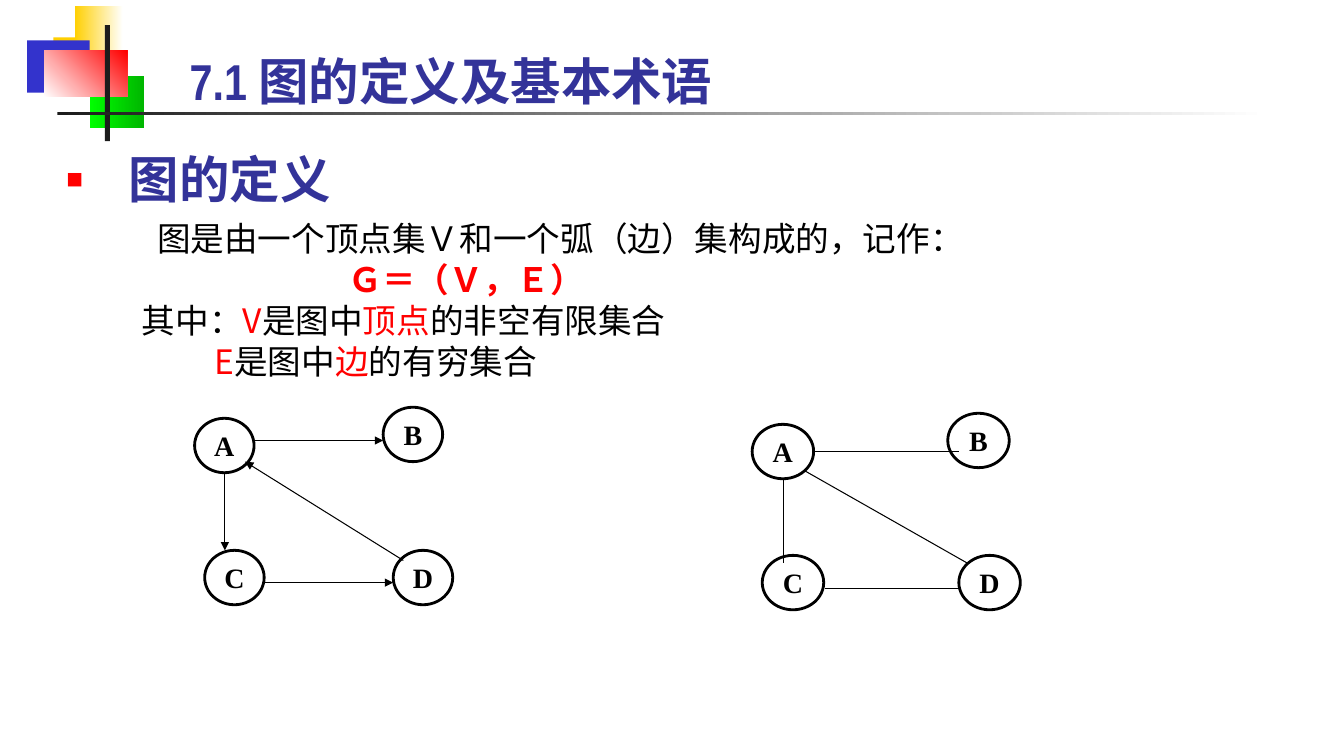
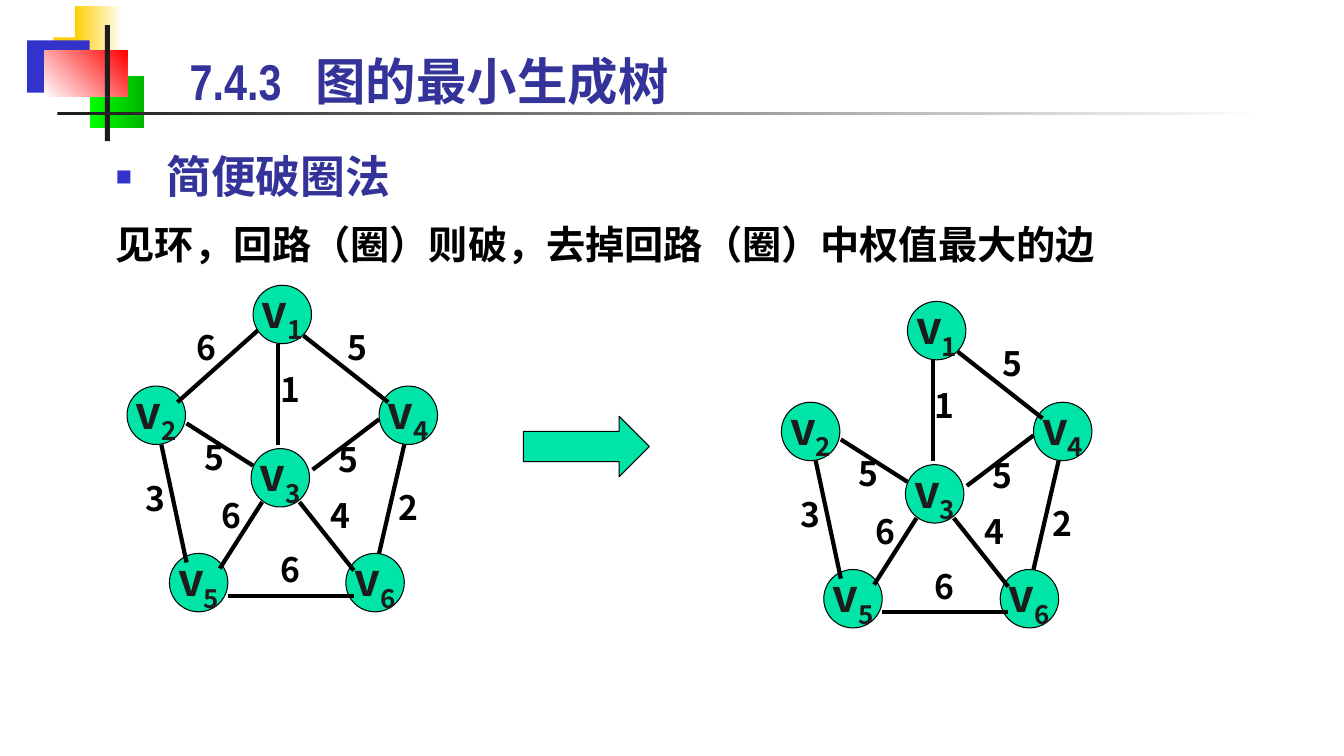
from lxml import etree
from pptx import Presentation
from pptx.dml.color import RGBColor
from pptx.enum.shapes import MSO_CONNECTOR, MSO_SHAPE
from pptx.enum.text import MSO_ANCHOR, MSO_AUTO_SIZE, PP_ALIGN
from pptx.oxml.ns import qn
from pptx.util import Emu, Pt

PX = 9144
RECT, OVAL, ARROW = MSO_SHAPE.RECTANGLE, MSO_SHAPE.OVAL, MSO_SHAPE.RIGHT_ARROW
STRAIGHT = MSO_CONNECTOR.STRAIGHT
LEFT, CENTER = PP_ALIGN.LEFT, PP_ALIGN.CENTER
MIDDLE, BOTTOM = MSO_ANCHOR.MIDDLE, MSO_ANCHOR.BOTTOM
TITLE_ONLY = 5
NARROW, SANS, SERIF = "Arial Narrow", "Noto Sans CJK SC", "Times New Roman"
COLORS = {
    "black": "000000", "ink": "1C1C1C", "white": "FFFFFF", "red": "FF0000",
    "navy": "333399", "blue": "3333CC", "yellow": "FFCF01",
    "lime": "00FF00", "green": "00B600", "mint": "00E4A8",
}
HEADING = {"size": Pt(36), "name": NARROW, "bold": True}
SUBHEADING = {"size": Pt(32), "name": SANS, "bold": True}
RULE = {"size": Pt(28), "name": SANS, "bold": True}
BODY = {"size": Pt(24), "name": SANS, "bold": False}
STRONG = {**BODY, "bold": True}
LETTER = {"size": Pt(20), "name": SERIF, "bold": True}

BANDS = [
    ((53, 37, 64, 52), ("yellow",), 0),
    ((74, 6, 48, 52), ("yellow", "white"), 0),
    ((27, 40, 62, 52), ("blue",), 0),
    ((89, 75, 54, 52), ("lime", "green"), 0),
    ((44, 50, 82, 46), ("white", "red"), 45),
    ((104, 25, 5, 115), ("ink",), 0),
    ((57, 111, 1200, 3), ("ink", "white"), 0),
]

DIRECTED = {
    "size": (59, 54),
    "nodes": {"A": (193, 415), "B": (380, 404), "C": (203, 546), "D": (390, 546)},
    "edges": [(252, 437, 380, 437), (223, 469, 223, 546),
              (262, 578, 390, 578), (400, 556, 243, 458)],
}
UNDIRECTED = {
    "size": (61, 54),
    "nodes": {"A": (746, 421), "B": (940, 410), "C": (756, 551), "D": (951, 551)},
    "edges": [(807, 448, 951, 448), (798, 467, 960, 559),
              (777, 475, 777, 559), (818, 584, 951, 584)],
}

VERTICES = {"3": (249, 445), "2": (126, 383), "4": (376, 383),
            "5": (168, 549), "6": (343, 549)}
TOP_VERTEX = (251, 283)
BROKEN_EDGE = ((260, 324, 176, 399), "6", (185, 324))
TREE_EDGES = [
    ((276, 341, 276, 441), "1", (268, 366)),
    ((301, 333, 385, 399), "5", (335, 324)),
    ((185, 420, 251, 462), "5", (193, 433)),
    ((376, 416, 310, 466), "5", (326, 435)),
    ((160, 441, 185, 558), "3", (135, 474)),
    ((260, 498, 218, 564), "6", (210, 491)),
    ((297, 498, 351, 566), "4", (318, 491)),
    ((401, 441, 376, 549), "2", (385, 483)),
    ((226, 591, 351, 591), "6", (268, 545)),
]


def px(*lengths):
    return [Emu(length * PX) for length in lengths]


def rgb(name):
    return RGBColor.from_string(COLORS[name])


def assign(target, values):
    for name, value in values.items():
        setattr(target, name, value)


def add_xml(parent, tag, **values):
    return etree.SubElement(parent, qn(tag), values)


def add_span(para, text, style, color="black", baseline=None):
    span = para.add_run()
    span.text = text
    assign(span.font, style)
    span.font.color.rgb = rgb(color)
    properties = span._r.get_or_add_rPr()
    add_xml(properties, "a:ea", typeface=SANS)
    if baseline:
        properties.set("baseline", baseline)


def format_para(para, margin, indent, spacing, before=0):
    assign(para, {"line_spacing": Pt(spacing), "space_before": Pt(before)})
    properties = para._p.get_or_add_pPr()
    properties.set("marL", str(margin * PX))
    properties.set("indent", str(indent * PX))


def add_bullet(para, color, percent):
    properties = para._p.get_or_add_pPr()
    add_xml(add_xml(properties, "a:buClr"), "a:srgbClr", val=COLORS[color])
    add_xml(properties, "a:buSzPct", val=str(percent * 1000))
    add_xml(properties, "a:buFont", typeface="Arial")
    add_xml(properties, "a:buChar", char="■")


def add_textbox(shapes, frame):
    box = shapes.add_textbox(*px(*frame))
    box.text_frame.word_wrap = True
    return box.text_frame


def add_figure(shapes, kind, frame, fills=(), line=None, angle=0):
    shape = shapes.add_shape(kind, *px(*frame))
    shape.shadow.inherit = False
    if len(fills) == 2:
        shape.fill.gradient()
        shape.fill.gradient_angle = angle
        for stop, color in zip(shape.fill.gradient_stops, fills):
            stop.color.rgb = rgb(color)
    elif fills:
        shape.fill.solid()
        shape.fill.fore_color.rgb = rgb(fills[0])
    else:
        shape.fill.background()
    if line:
        shape.line.color.rgb = rgb("black")
        shape.line.width = Pt(line)
    else:
        shape.line.fill.background()
    return shape


def add_node(shapes, frame, spans, line, fills=()):
    frame_text = add_figure(shapes, OVAL, frame, fills, line).text_frame
    assign(frame_text, {"word_wrap": False, "vertical_anchor": MIDDLE})
    para = frame_text.paragraphs[0]
    para.alignment = CENTER
    for span in spans:
        add_span(para, *span)


def add_edge(shapes, ends, width, arrow=False):
    edge = shapes.add_connector(STRAIGHT, *px(*ends))
    edge.line.color.rgb = rgb("black")
    edge.line.width = Pt(width)
    if arrow:
        add_xml(edge.line._get_or_add_ln(), "a:tailEnd", type="triangle")
    add_xml(edge._element.spPr, "a:effectLst")


def add_bands(slide):
    tree = slide.slide_layout.shapes.element
    for index, (frame, fills, angle) in enumerate(BANDS, 2):
        band = add_figure(slide.shapes, RECT, frame, fills, angle=angle)
        tree.insert(index, band.element)


def add_slide(deck, title, tab=None):
    slide = deck.slides.add_slide(deck.slide_layouts[TITLE_ONLY])
    holder = slide.shapes.title
    assign(holder, dict(zip(("left", "top", "width", "height"), px(178, 25, 1136, 85))))
    assign(holder.text_frame, {"vertical_anchor": BOTTOM, "margin_bottom": 0,
                               "auto_size": MSO_AUTO_SIZE.NONE})
    para = holder.text_frame.paragraphs[0]
    para.alignment = LEFT
    if tab:
        stops = add_xml(para._p.get_or_add_pPr(), "a:tabLst")
        add_xml(stops, "a:tab", pos=str(tab * PX), algn="l")
    add_span(para, title, HEADING, "navy")
    return slide


def add_lettered_graph(slide, graph, arrow):
    shapes = slide.shapes.add_group_shape().shapes
    for letter, place in graph["nodes"].items():
        add_node(shapes, place + graph["size"], [(letter, LETTER)], 2)
    for ends in graph["edges"]:
        add_edge(shapes, ends, 0.75, arrow)


def add_vertex(shapes, number, x, y):
    spans = [("v", SUBHEADING, "ink"), (number, SUBHEADING, "ink", "-25000")]
    add_node(shapes, (x, y, 58, 58), spans, 0.75, ("mint",))


def add_weighted_graph(slide, edges, dx, dy):
    shapes = slide.shapes.add_group_shape().shapes
    for number, (x, y) in VERTICES.items():
        add_vertex(shapes, number, x + dx, y + dy)
    for (x1, y1, x2, y2), _, _ in edges:
        add_edge(shapes, (x1 + dx, y1 + dy, x2 + dx, y2 + dy), 3)
    for _, weight, (x, y) in edges:
        label = add_textbox(shapes, (x + dx, y + dy, 50, 50))
        label.margin_top = 0
        add_span(label.paragraphs[0], weight, STRONG)
    add_vertex(shapes, "1", TOP_VERTEX[0] + dx, TOP_VERTEX[1] + dy)


def build_definition(deck):
    slide = add_slide(deck, "7.1 图的定义及基本术语")
    add_bands(slide)
    text = add_textbox(slide.shapes, (56, 137, 1259, 238))
    heading = text.paragraphs[0]
    format_para(heading, 62, -62, 47)
    add_bullet(heading, "red", 55)
    add_span(heading, "图的定义", HEADING, "navy")
    lines = [
        (90, 6, [("图是由一个顶点集Ｖ和一个弧（边）集构成的，记作：", BODY)]),
        (280, 0, [("Ｇ＝（Ｖ，Ｅ）", STRONG, "red")]),
        (75, 0, [("其中：", BODY), ("V", BODY, "red"), ("是图中", BODY),
                 ("顶点", BODY, "red"), ("的非空有限集合", BODY)]),
        (147, 0, [("E", BODY, "red"), ("是图中", BODY),
                  ("边", BODY, "red"), ("的有穷集合", BODY)]),
    ]
    for margin, before, spans in lines:
        para = text.add_paragraph()
        format_para(para, margin, 0, 29.3, before)
        for span in spans:
            add_span(para, *span)
    add_lettered_graph(slide, DIRECTED, True)
    add_lettered_graph(slide, UNDIRECTED, False)


def build_spanning_tree(deck):
    slide = add_slide(deck, "7.4.3\t图的最小生成树", 125)
    text = add_textbox(slide.shapes, (105, 129, 1111, 148))
    heading = text.paragraphs[0]
    format_para(heading, 50, -50, 48.5)
    add_bullet(heading, "blue", 60)
    add_span(heading, "简便破圈法", SUBHEADING, "navy")
    rule = text.add_paragraph()
    format_para(rule, 0, 0, 40, 6)
    add_span(rule, "见环，回路（圈）则破，去掉回路（圈）中权值最大的边", RULE)
    add_weighted_graph(slide, [BROKEN_EDGE] + TREE_EDGES, 0, 0)
    add_weighted_graph(slide, TREE_EDGES, 649, 16)
    add_figure(slide.shapes, ARROW, (519, 413, 125, 60), ("mint",), 0.75)


def main():
    deck = Presentation()
    deck.slide_width, deck.slide_height = px(1333, 750)
    build_definition(deck)
    build_spanning_tree(deck)
    deck.save("out.pptx")


if __name__ == "__main__":
    main()
